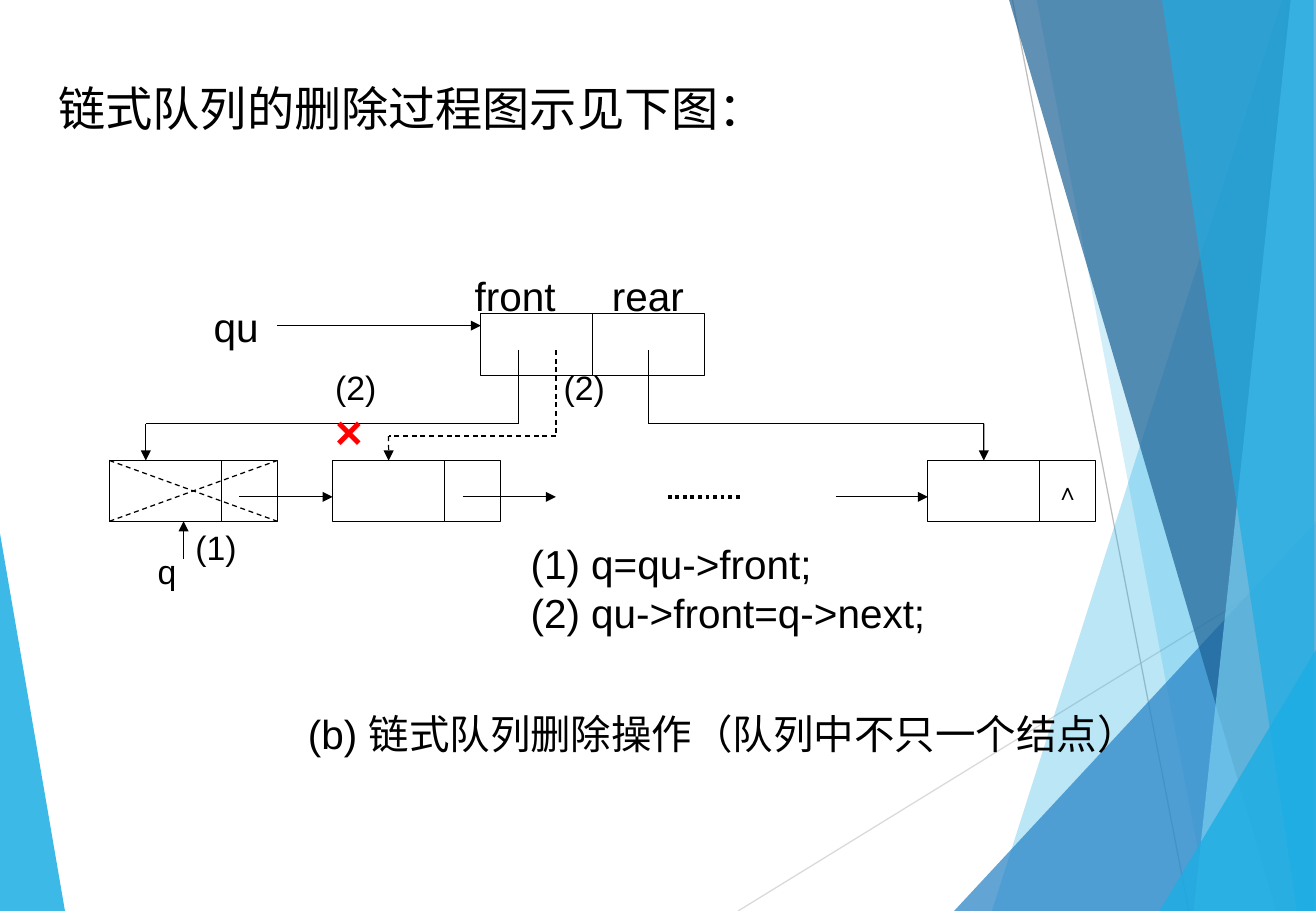
from pptx import Presentation
from pptx.dml.color import RGBColor
from pptx.enum.dml import MSO_LINE
from pptx.enum.shapes import MSO_CONNECTOR, MSO_SHAPE
from pptx.enum.text import MSO_ANCHOR, MSO_AUTO_SIZE, PP_ALIGN
from pptx.oxml.ns import qn
from pptx.util import Cm, Pt
from lxml.etree import SubElement

W, H = 27.53, 19.05
BLACK, WHITE, RED = "000000", "FFFFFF", "FF0000"
SKY = "1CADE4"

prs = Presentation()
prs.slide_width, prs.slide_height = Cm(W), Cm(H)
s = prs.slides.add_slide(prs.slide_layouts[5])


def rgb(value):
    return RGBColor.from_string(value)


def add_line(start, end, color=BLACK, width=0.75, dash=None, arrow=False):
    c = s.shapes.add_connector(MSO_CONNECTOR.STRAIGHT, *map(Cm, start + end))
    c.line.color.rgb = rgb(color)
    c.line.width = Pt(width)
    if dash:
        c.line.dash_style = dash
    spPr = c._element.spPr
    if arrow:
        SubElement(spPr.find(qn("a:ln")), qn("a:tailEnd"), type="triangle")
    SubElement(spPr, qn("a:effectLst"))
    return c


# Background facets: colour, opacity in percent, corners
add_line((15.44, H), (W, 11.61), "D9D9D9")
add_line((21.18, 0), (24.87, H), "BFBFBF")
facets = [
    (SKY, 85, [(0, 11.15), (1.36, H), (0, H)]),
    (SKY, 30, [(26.82, 0), (20.75, H), (W, H), (W, 0)]),
    (SKY, 20, [(21.69, 0), (25.3, H), (W, H), (W, 0)]),
    ("2683C6", 72, [(19.96, H), (W, 10.9), (W, H)]),
    ("1D6295", 70, [(21.11, 0), (26.7, H), (W, H), (W, 0)]),
    ("77CEEF", 70, [(27, 0), (24.97, H), (W, H), (W, 0)]),
    (SKY, 65, [(24.31, 0), (27.13, H), (27.5, H), (27.48, 0)]),
    (SKY, 80, [(24.26, H), (W, 13.59), (W, H)]),
]
for color, opacity, corners in facets:
    points = [(Cm(x), Cm(y)) for x, y in corners]
    fb = s.shapes.build_freeform(*points[0])
    fb.add_line_segments(points[1:], close=True)
    sp = fb.convert_to_shape()
    sp.shadow.inherit = False
    sp.fill.solid()
    sp.fill.fore_color.rgb = rgb(color)
    sp.line.fill.background()
    srgb = sp._element.spPr.find(".//" + qn("a:srgbClr"))
    SubElement(srgb, qn("a:alpha"), val=str(opacity * 1000))

# Title
title = s.shapes.title
title.left, title.top, title.width, title.height = Cm(0.97), Cm(1.52), Cm(18.8), Cm(1.45)
tf = title.text_frame
tf.auto_size = MSO_AUTO_SIZE.NONE
tf.vertical_anchor = MSO_ANCHOR.MIDDLE
p = tf.paragraphs[0]
p.alignment = PP_ALIGN.LEFT
r = p.add_run()
r.text = "链式队列的删除过程图示见下图："
r.font.name, r.font.size = "Arial", Pt(28)
r.font.color.rgb = rgb(BLACK)

# Queue header and nodes: each is a pair of adjoining cells
DATA_W, NEXT_W, NODE_H = 2.34, 1.17, 1.27
NODE_Y, HEAD_Y = 9.63, 6.55
NODE_BOTTOM = NODE_Y + NODE_H
FIRST_X, SECOND_X, LAST_X, HEAD_X = 2.29, 6.96, 19.41, 10.06
pairs = [
    (FIRST_X, NODE_Y, NEXT_W, NODE_H, ""),
    (SECOND_X, NODE_Y, NEXT_W, NODE_H, ""),
    (LAST_X, NODE_Y, NEXT_W, NODE_H, "∧"),
    (HEAD_X, HEAD_Y, DATA_W, 1.3, ""),
]
data_cells = {}
for x, y, right_w, h, mark in pairs:
    for left, width, text in [(x, DATA_W, ""), (x + DATA_W, right_w, mark)]:
        sp = s.shapes.add_shape(MSO_SHAPE.RECTANGLE, Cm(left), Cm(y), Cm(width), Cm(h))
        sp.shadow.inherit = False
        sp.fill.solid()
        sp.fill.fore_color.rgb = rgb(WHITE)
        sp.line.color.rgb = rgb(BLACK)
        sp.line.width = Pt(0.75)
        if left == x:
            data_cells[x] = sp
        if text:
            tf = sp.text_frame
            tf.word_wrap = False
            tf.vertical_anchor = MSO_ANCHOR.MIDDLE
            p = tf.paragraphs[0]
            p.alignment = PP_ALIGN.CENTER
            r = p.add_run()
            r.text = text
            r.font.name, r.font.size = "Times New Roman", Pt(14)
            r.font.color.rgb = rgb(BLACK)

# Next pointers, the qu and q pointers, and the dots
NEXT_Y, QU_Y, Q_X = 10.39, 6.81, 3.84
for start, end in [
    ((5, NEXT_Y), (SECOND_X, NEXT_Y)),
    ((9.68, NEXT_Y), (11.63, NEXT_Y)),
    ((17.48, NEXT_Y), (LAST_X, NEXT_Y)),
    ((5.79, QU_Y), (HEAD_X, QU_Y)),
    ((Q_X, 11.68), (Q_X, NODE_BOTTOM)),
]:
    add_line(start, end, arrow=True)
add_line((13.97, NEXT_Y), (15.52, NEXT_Y), width=2.25, dash=MSO_LINE.ROUND_DOT)

# Pointers from the header: start x, bend y, end x, dash, target cell
POINTER_Y = 7.32
for x1, bend, x2, dash, target in [
    (10.85, 8.86, 3.05, None, None),
    (11.63, 9.12, SECOND_X + DATA_W / 2, MSO_LINE.DASH, SECOND_X),
    (13.56, 8.86, LAST_X + DATA_W / 2, None, LAST_X),
]:
    add_line((x1, POINTER_Y), (x1, bend), dash=dash)
    add_line((x1, bend), (x2, bend), dash=dash)
    c = add_line((x2, bend), (x2, NODE_Y), dash=dash, arrow=True)
    if target:
        c.end_connect(data_cells[target], 0)

# Cross over the deleted node
node_right = FIRST_X + DATA_W + NEXT_W
for y1, y2 in [(NODE_Y, NODE_BOTTOM), (NODE_BOTTOM, NODE_Y)]:
    add_line((FIRST_X, y1), (node_right, y2), dash=MSO_LINE.DASH)

# Labels: left, top, width, height, alignment, line spacing, (text, size, colour) per paragraph
L, C = PP_ALIGN.LEFT, PP_ALIGN.CENTER
labels = [
    (4.22, 6.2, 2, 1.27, L, 1, [("qu", 24, BLACK)]),
    (9.68, 5.54, 2.6, 1.27, L, 1, [("front", 24, BLACK)]),
    (12.55, 5.54, 2.6, 1.27, L, 1, [("rear", 24, BLACK)]),
    (6.76, 7.65, 2, 2.08, L, 0.9, [("(2)", 20, BLACK), ("×", 28, RED)]),
    (11.54, 7.65, 2, 1.12, L, 0.9, [("(2)", 20, BLACK)]),
    (3.05, 11.4, 1.2, 1.12, L, 1, [("q", 20, BLACK)]),
    (3.84, 10.9, 2, 1.12, L, 1, [("(1)", 20, BLACK)]),
    (10.85, 11.15, 10.9, 2.29, L, 1,
     [("(1) q=qu->front;", 24, BLACK), ("(2) qu->front=q->next;", 24, BLACK)]),
    (5.38, 14.7, 19.48, 1.47, C, 1,
     [("(b) 链式队列删除操作（队列中不只一个结点）", 24, BLACK)]),
]
for x, y, w, h, align, spacing, lines in labels:
    tf = s.shapes.add_textbox(Cm(x), Cm(y), Cm(w), Cm(h)).text_frame
    tf.word_wrap = True
    for i, (text, size, color) in enumerate(lines):
        p = tf.add_paragraph() if i else tf.paragraphs[0]
        p.alignment, p.line_spacing = align, spacing
        r = p.add_run()
        r.text = text
        r.font.name, r.font.size = "Arial", Pt(size)
        r.font.bold = color == RED
        r.font.color.rgb = rgb(color)

prs.save("out.pptx")
